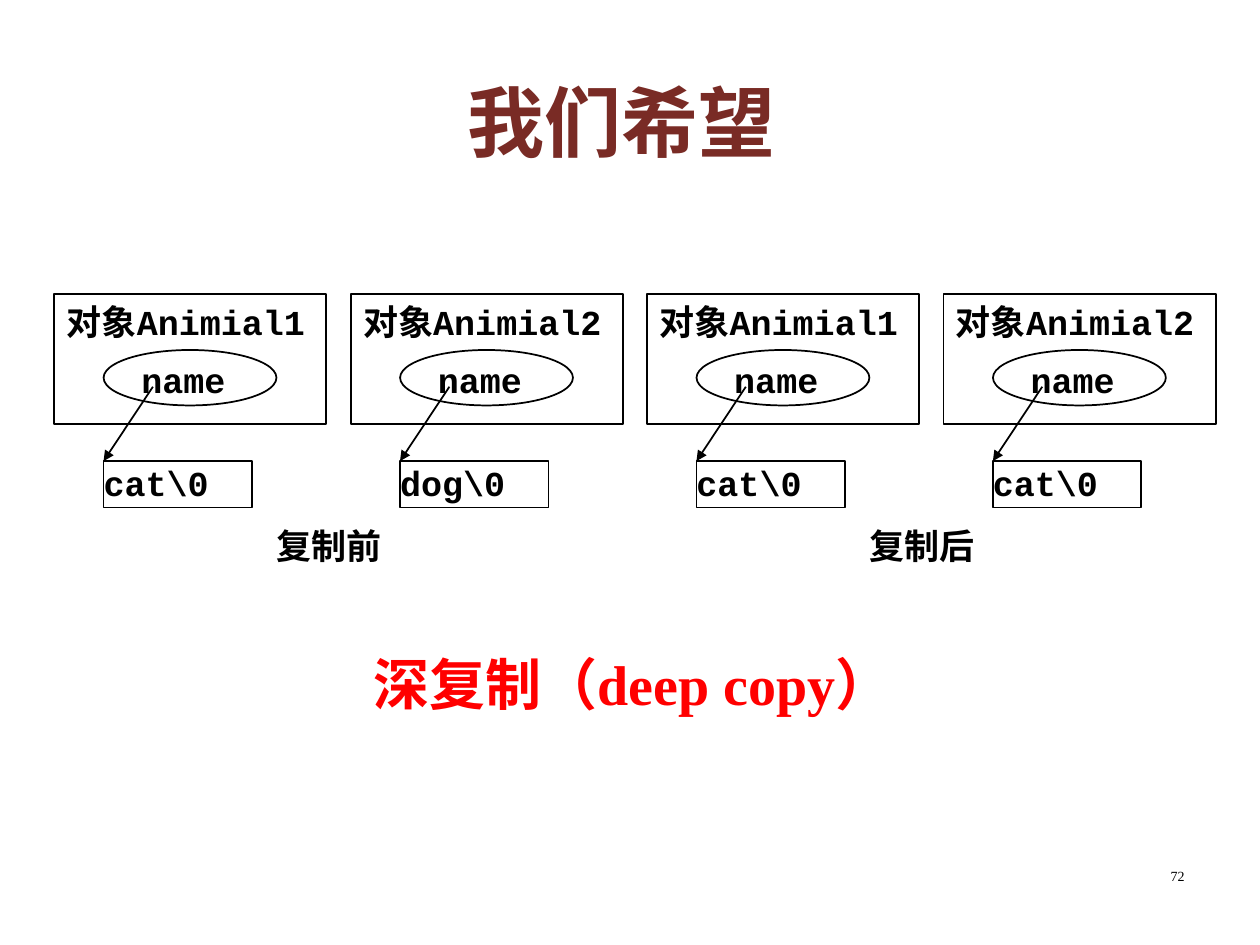
from lxml import etree
from pptx import Presentation
from pptx.dml.color import RGBColor
from pptx.enum.shapes import MSO_CONNECTOR, MSO_SHAPE
from pptx.enum.text import MSO_ANCHOR, MSO_AUTO_SIZE, PP_ALIGN
from pptx.oxml.ns import qn
from pptx.util import Pt

RECTANGLE = MSO_SHAPE.RECTANGLE
OVAL = MSO_SHAPE.OVAL
STRAIGHT = MSO_CONNECTOR.STRAIGHT
TOP, MIDDLE = MSO_ANCHOR.TOP, MSO_ANCHOR.MIDDLE
LEFT, CENTER, RIGHT, JUSTIFY = PP_ALIGN.LEFT, PP_ALIGN.CENTER, PP_ALIGN.RIGHT, PP_ALIGN.JUSTIFY
NO_AUTOFIT = MSO_AUTO_SIZE.NONE

COLORS = {"ink": "000000", "title": "792B25", "accent": "FF0000", "paper": "FFFFFF"}
SERIF = "Times New Roman"
MONO = "Courier New"

FIRST_LEFT = 31
OBJECT_PITCH = 169.4
OBJECT_TOP = 168
OBJECTS = [("Animial1", "cat\\0"), ("Animial2", "dog\\0"),
           ("Animial1", "cat\\0"), ("Animial2", "cat\\0")]
CAPTIONS = ["复制前", "复制后"]


def color(name):
    return RGBColor.from_string(COLORS[name])


def style_run(run, size, font_name, color_name="ink", bold=True):
    run.font.size = Pt(size)
    run.font.name = font_name
    run.font.bold = bold
    run.font.color.rgb = color(color_name)


def set_margins(text_frame, left, top, right, bottom):
    text_frame.margin_left, text_frame.margin_top = Pt(left), Pt(top)
    text_frame.margin_right, text_frame.margin_bottom = Pt(right), Pt(bottom)


def place(shape, left, top, width, height):
    shape.left, shape.top = Pt(left), Pt(top)
    shape.width, shape.height = Pt(width), Pt(height)


def fill_placeholder(placeholder, text, box, size, color_name, anchor):
    place(placeholder, *box)
    text_frame = placeholder.text_frame
    text_frame.text = text
    text_frame.auto_size = NO_AUTOFIT
    text_frame.vertical_anchor = anchor
    paragraph = text_frame.paragraphs[0]
    paragraph.alignment = CENTER
    style_run(paragraph.runs[0], size, SERIF, color_name)
    return paragraph


def remove_bullet(paragraph):
    properties = paragraph._p.get_or_add_pPr()
    properties.set("marL", "0")
    properties.set("indent", "0")
    etree.SubElement(properties, qn("a:buNone"))


def add_box(slide, kind, box, runs, margins, alignment=LEFT, outlined=True):
    shape = slide.shapes.add_shape(kind, *map(Pt, box))
    shape.shadow.inherit = False
    if outlined:
        shape.fill.background()
        shape.line.color.rgb = color("ink")
        shape.line.width = Pt(1)
    else:
        shape.fill.solid()
        shape.fill.fore_color.rgb = color("paper")
        shape.line.fill.background()
    text_frame = shape.text_frame
    text_frame.word_wrap = True
    text_frame.vertical_anchor = TOP
    set_margins(text_frame, *margins)
    paragraph = text_frame.paragraphs[0]
    paragraph.alignment = alignment
    for text, font_name in runs:
        run = paragraph.add_run()
        run.text = text
        style_run(run, 20, font_name)


def add_arrow(slide, start, end):
    connector = slide.shapes.add_connector(STRAIGHT, *map(Pt, (*start, *end)))
    connector.line.color.rgb = color("ink")
    connector.line.width = Pt(1)
    line = connector.line._get_or_add_ln()
    etree.SubElement(line, qn("a:tailEnd"), type="triangle")
    etree.SubElement(connector._element.spPr, qn("a:effectLst"))


def add_object(slide, left, object_name, value):
    field_left = left + 28.2
    value_top = OBJECT_TOP + 95.5
    add_box(slide, RECTANGLE, (left, OBJECT_TOP, 155.5, 74.2),
            [("对象", SERIF), (object_name, MONO)], (7.2, 3.6, 0, 3.6), JUSTIFY)
    add_box(slide, OVAL, (field_left, OBJECT_TOP + 32, 98.8, 31.7),
            [("name", MONO)], (7.2, 0, 7.2, 0))
    add_box(slide, RECTANGLE, (field_left, value_top, 84.8, 26.6),
            [(value, MONO)], (0, 0, 0, 0))
    add_arrow(slide, (field_left + 28.2, OBJECT_TOP + 53), (field_left, value_top))


def add_slide_number(slide, number):
    text_box = slide.shapes.add_textbox(*map(Pt, (516, 492, 168, 37.5)))
    text_frame = text_box.text_frame
    text_frame.word_wrap = True
    text_frame.text = number
    paragraph = text_frame.paragraphs[0]
    paragraph.alignment = RIGHT
    style_run(paragraph.runs[0], 8, SERIF, bold=False)


def main():
    presentation = Presentation()
    presentation.slide_width, presentation.slide_height = Pt(720), Pt(540)
    slide = presentation.slides.add_slide(presentation.slide_layouts[1])

    fill_placeholder(slide.shapes.title, "我们希望 ", (36, 30, 648, 78), 44, "title", MIDDLE)
    conclusion = fill_placeholder(slide.placeholders[1], "深复制（deep copy）",
                                  (181.5, 372, 360, 39.6), 32, "accent", TOP)
    remove_bullet(conclusion)
    conclusion.line_spacing = 0.9
    conclusion.space_before = Pt(0)

    for index, (object_name, value) in enumerate(OBJECTS):
        add_object(slide, FIRST_LEFT + index * OBJECT_PITCH, object_name, value)
    for index, caption in enumerate(CAPTIONS):
        add_box(slide, RECTANGLE, (158.2 + index * 2 * OBJECT_PITCH, 300, 70.5, 21.6),
                [(caption, MONO)], (0, 0, 0, 0), outlined=False)
    add_slide_number(slide, "72")

    presentation.save("out.pptx")


if __name__ == "__main__":
    main()
